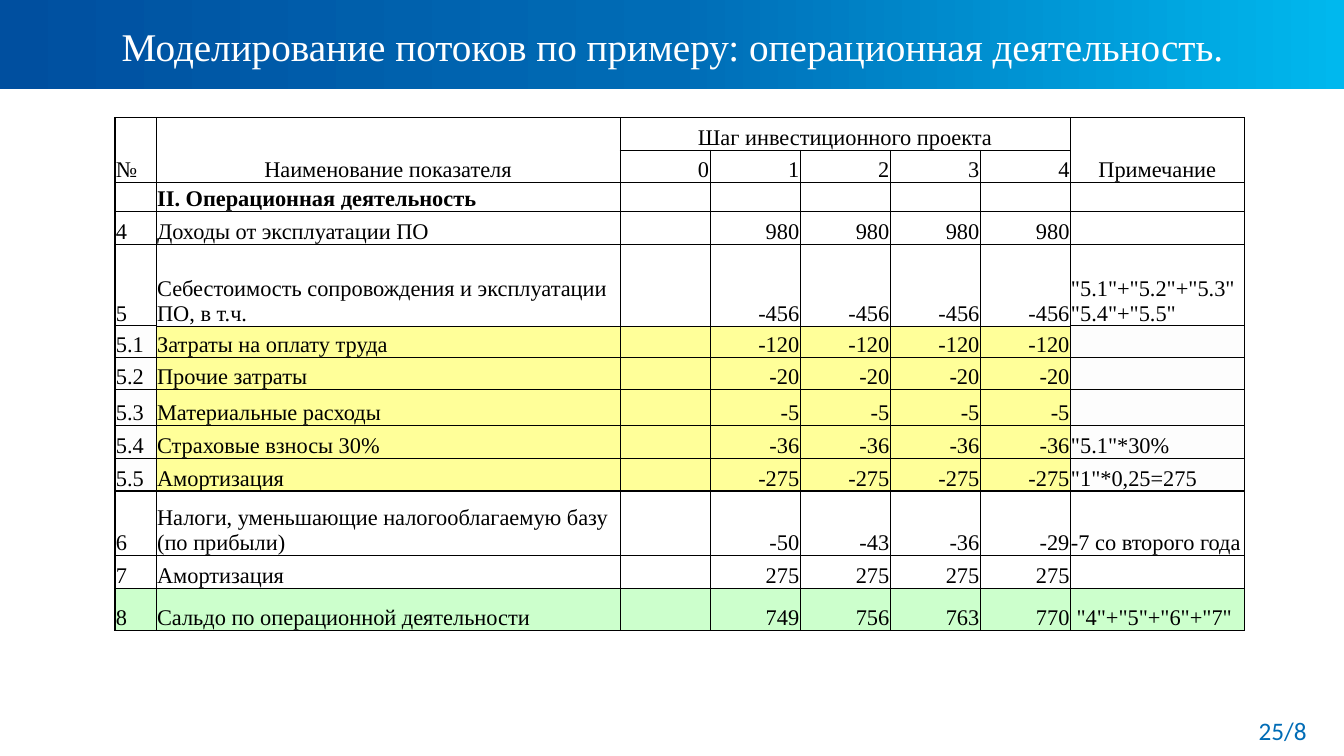
from copy import deepcopy

from lxml import etree
from pptx import Presentation
from pptx.dml.color import RGBColor
from pptx.enum.shapes import MSO_SHAPE
from pptx.enum.text import MSO_ANCHOR, PP_ALIGN
from pptx.oxml.ns import qn
from pptx.util import Cm, Pt

RECT = MSO_SHAPE.RECTANGLE
LEFT, CENTER, RIGHT = PP_ALIGN.LEFT, PP_ALIGN.CENTER, PP_ALIGN.RIGHT
MIDDLE, BOTTOM = MSO_ANCHOR.MIDDLE, MSO_ANCHOR.BOTTOM

COLORS = {
    "band_dark": "004F9F",
    "band_mid": "006CB6",
    "band_light": "00B8EE",
    "white": "FFFFFF",
    "black": "000000",
    "cost": "FFFF99",
    "cost_edge": "FDFDFD",
    "total": "CCFFCC",
}
SERIF, SANS = "Times New Roman", "Calibri"

COL_WIDTHS = [1.04, 11.68] + [2.27] * 5 + [4.39]
ROW_HEIGHTS = [0.81, 0.81, 0.74, 0.83, 1.62, 0.8, 0.8, 0.9, 0.83, 0.83, 1.62, 0.83, 1.07]
LAST_COL = len(COL_WIDTHS) - 1
HEADER_ROWS = 2
COST_ROWS = range(5, 10)
TOTAL_ROW = 12

ROWS = [
    ["№", "Наименование показателя", "Шаг инвестиционного проекта", "", "", "", "", "Примечание"],
    ["", "", "0", "1", "2", "3", "4", ""],
    ["", "II. Операционная деятельность", "", "", "", "", "", ""],
    ["4", "Доходы от эксплуатации ПО", "", "980", "980", "980", "980", ""],
    ["5", "Себестоимость сопровождения и эксплуатации ПО, в т.ч.", "",
     "-456", "-456", "-456", "-456", ' "5.1"+"5.2"+"5.3""5.4"+"5.5"'],
    ["5.1", "Затраты на оплату труда", "", "-120", "-120", "-120", "-120", ""],
    ["5.2", "Прочие затраты", "", "-20", "-20", "-20", "-20", ""],
    ["5.3", "Материальные расходы", "", "-5", "-5", "-5", "-5", ""],
    ["5.4", "Страховые взносы 30%", "", "-36", "-36", "-36", "-36", '"5.1"*30%'],
    ["5.5", "Амортизация", "", "-275", "-275", "-275", "-275", '"1"*0,25=275'],
    ["6", "Налоги, уменьшающие налогооблагаемую базу (по прибыли)", "",
     "-50", "-43", "-36", "-29", "-7 со второго года"],
    ["7", "Амортизация", "", "275", "275", "275", "275", ""],
    ["8", "Сальдо по операционной деятельности", "",
     "749", "756", "763", "770", ' "4"+"5"+"6"+"7"'],
]


def rgb(name):
    return RGBColor.from_string(COLORS[name])


def write(tf, text, size=16, font=SERIF, color="black", bold=False, align=LEFT):
    p = tf.paragraphs[0]
    p.alignment = align
    if not text:
        p._p.get_or_add_endParaRPr().set("sz", str(size * 100))
        return
    r = p.add_run()
    r.text = text
    r.font.size, r.font.name, r.font.bold = Pt(size), font, bold
    r.font.color.rgb = rgb(color)


def add_text(slide, box, text, bottom=0.13, **fmt):
    tf = slide.shapes.add_textbox(*map(Cm, box)).text_frame
    tf.word_wrap = True
    tf.vertical_anchor = MIDDLE
    tf.margin_bottom = Cm(bottom)
    write(tf, text, **fmt)


def add_header(slide, x, y, w, h):
    """Gradient band with the slide title on it."""
    sp = slide.shapes.add_shape(RECT, Cm(x), Cm(y), Cm(w), Cm(h))
    sp.shadow.inherit = False
    sp.line.fill.background()
    sp.fill.gradient()
    sp.fill.gradient_angle = 0
    stops = sp._element.spPr.find(qn("a:gradFill")).find(qn("a:gsLst"))
    stops.append(deepcopy(stops[0]))
    names = ["band_dark", "band_mid", "band_light"]
    for i, (stop, name) in enumerate(zip(sp.fill.gradient_stops, names)):
        stop.position = i / 2
        stop.color.rgb = rgb(name)
    add_text(slide, (x + 0.94, y + 0.33, w - 1.86, 1.93),
             "Моделирование потоков по примеру: операционная деятельность.",
             bottom=0.41, size=28, color="white", align=CENTER)


def rule_width(line, col):
    """Width in points of the horizontal rule above the row numbered line."""
    inner = 0 < col < LAST_COL
    thin = line in COST_ROWS[1:] or (inner and line in (1, COST_ROWS[0]))
    return 0.5 if thin else 1


def set_borders(cell, row, col):
    widths = {
        "a:lnL": 1 if col == 0 else 0.5,
        "a:lnR": 1 if col == LAST_COL else 0.5,
        "a:lnT": rule_width(row, col),
        "a:lnB": rule_width(row + 1, col),
    }
    tc_pr = cell._tc.get_or_add_tcPr()
    for i, (tag, width) in enumerate(widths.items()):
        ln = etree.Element(qn(tag), w=str(Pt(width)))
        fill = etree.SubElement(ln, qn("a:solidFill"))
        etree.SubElement(fill, qn("a:srgbClr"), val=COLORS["black"])
        tc_pr.insert(i, ln)


def set_fill(cell, row, col):
    if row in COST_ROWS:
        name = "cost" if 0 < col < LAST_COL else "cost_edge"
    elif row == TOTAL_ROW:
        name = "total"
    else:
        cell.fill.background()
        return
    cell.fill.solid()
    cell.fill.fore_color.rgb = rgb(name)


def cell_align(row, col):
    if row == 0 and col > 0:
        return CENTER
    return RIGHT if 2 <= col < LAST_COL else LEFT


def add_cash_flow_table(slide, x, y):
    table = slide.shapes.add_table(len(ROWS), len(COL_WIDTHS), Cm(x), Cm(y),
                                   Cm(sum(COL_WIDTHS)), Cm(sum(ROW_HEIGHTS))).table
    table.first_row = table.horz_banding = False
    for column, width in zip(table.columns, COL_WIDTHS):
        column.width = Cm(width)
    for row, height in zip(table.rows, ROW_HEIGHTS):
        row.height = Cm(height)
    for i, texts in enumerate(ROWS):
        for j, text in enumerate(texts):
            cell = table.cell(i, j)
            cell.margin_left = cell.margin_right = cell.margin_top = Cm(0.02)
            cell.margin_bottom = 0
            cell.vertical_anchor = BOTTOM
            write(cell.text_frame, text, bold=i == HEADER_ROWS, align=cell_align(i, j))
            set_fill(cell, i, j)
            set_borders(cell, i, j)
    for col in (0, 1, LAST_COL):
        table.cell(0, col).merge(table.cell(1, col))
    table.cell(0, 2).merge(table.cell(0, LAST_COL - 1))


def main():
    prs = Presentation()
    prs.slide_width, prs.slide_height = Cm(33.87), Cm(19.05)
    slide = prs.slides.add_slide(prs.slide_layouts[6])
    add_header(slide, 0, 0, 33.87, 2.24)
    add_cash_flow_table(slide, 2.9, 2.97)
    add_text(slide, (30.89, 17.91, 2.29, 1.02), "25/8",
             size=18, font=SANS, color="band_mid", align=RIGHT)
    prs.save("out.pptx")


if __name__ == "__main__":
    main()
